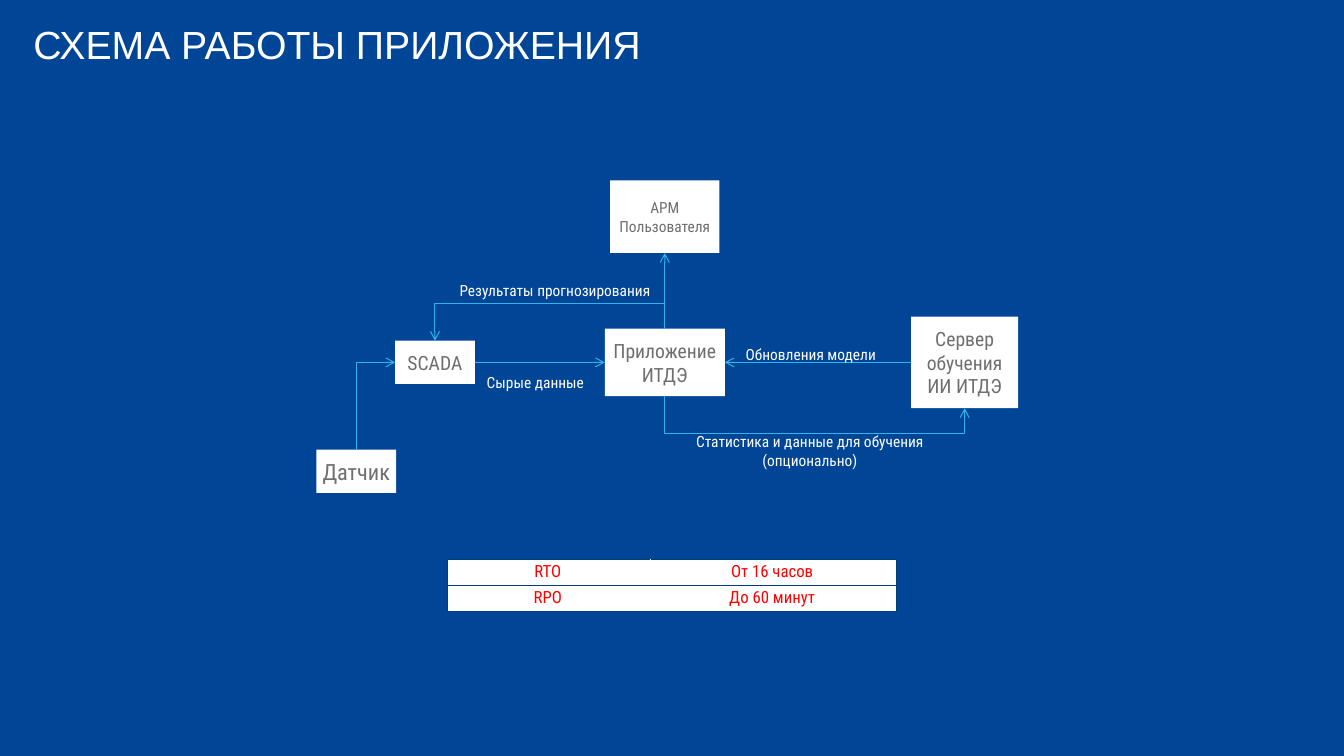
from typing import NamedTuple, Optional

from lxml.etree import SubElement
from pptx import Presentation
from pptx.dml.color import RGBColor
from pptx.enum.shapes import MSO_CONNECTOR, MSO_SHAPE
from pptx.enum.text import MSO_ANCHOR, MSO_AUTO_SIZE, PP_ALIGN
from pptx.oxml.ns import qn
from pptx.util import Inches, Pt

WIDTH, HEIGHT = Inches(13.33), Inches(7.5)
BLUE = RGBColor(0x00, 0x45, 0x96)
NAVY = RGBColor(0x00, 0x40, 0x77)
CYAN = RGBColor(0x2F, 0xB4, 0xE9)
WHITE = RGBColor(0xFF, 0xFF, 0xFF)
GREY = RGBColor(0x70, 0x6F, 0x6F)
RED = RGBColor(0xFF, 0x00, 0x00)
FONT = "Roboto Condensed"
TOP, LEFT, BOTTOM, RIGHT = range(4)


class Area(NamedTuple):
    """A place on the slide, in percent of its width and height."""
    x: float
    y: float
    w: float
    h: float

    def emu(self) -> tuple[int, int, int, int]:
        return (round(WIDTH * self.x / 100), round(HEIGHT * self.y / 100),
                round(WIDTH * self.w / 100), round(HEIGHT * self.h / 100))


class Node(NamedTuple):
    text: str
    area: Area
    size: int


class Link(NamedTuple):
    start: str
    out: int
    end: str
    into: int
    kind: str = "straight"
    bend: Optional[float] = None


class Label(NamedTuple):
    text: str
    area: Area
    align: PP_ALIGN = PP_ALIGN.LEFT


NODES = {
    "sensor": Node("Датчик", Area(23.55, 59.47, 5.93, 5.73), 16),
    "scada": Node("SCADA", Area(29.4, 45.07, 5.93, 5.73), 14),
    "app": Node("Приложение ИТДЭ", Area(45, 43.47, 8.93, 8.93), 14),
    "server": Node("Сервер обучения ИИ ИТДЭ", Area(67.8, 41.87, 7.95, 12.13), 14),
    "user": Node("АРМ Пользователя", Area(45.4, 23.87, 8.13, 9.6), 11),
}
LINKS = [
    Link("sensor", TOP, "scada", LEFT, "bentConnector2"),
    Link("scada", RIGHT, "app", LEFT),
    Link("server", LEFT, "app", RIGHT),
    Link("app", BOTTOM, "server", BOTTOM, "bentConnector3", 3.06),
    Link("app", TOP, "scada", TOP, "bentConnector3", -2.05),
    Link("app", TOP, "user", BOTTOM),
]
LABELS = [
    Label("Обновления модели", Area(54.75, 44.93, 11.78, 3.87)),
    Label("Статистика и данные для обучения\n(опционально)",
          Area(50.85, 56.53, 18.83, 6.27), PP_ALIGN.CENTER),
    Label("Результаты прогнозирования", Area(33.45, 36.53, 15.98, 3.87)),
    Label("Сырые данные", Area(35.48, 48.67, 8.93, 3.87)),
]
GOALS = [("RTO", "От 16 часов"), ("RPO", "До 60 минут")]
GOAL_AREA = Area(33.3, 74, 33.38, 6.93)
GOAL_COLS = (15.08, 18.3)


def write(frame, text: str, *, size: float, color: RGBColor, font: str = FONT,
          align: PP_ALIGN = PP_ALIGN.CENTER, before: float = 0,
          after: float = 0, leading: float = 1.0) -> None:
    frame.text = text
    for para in frame.paragraphs:
        para.alignment = align
        para.space_before, para.space_after = Pt(before), Pt(after)
        para.line_spacing = leading
        for run in para.runs:
            run.font.size, run.font.name = Pt(size), font
            run.font.color.rgb = color


def add_title(slide) -> None:
    title = slide.shapes.title
    title.left, title.top, title.width, title.height = Area(1.73, 3.2, 95.25, 7.6).emu()
    frame = title.text_frame
    frame.vertical_anchor = MSO_ANCHOR.TOP
    frame.auto_size = MSO_AUTO_SIZE.NONE
    write(frame, "СХЕМА РАБОТЫ ПРИЛОЖЕНИЯ", size=28, color=WHITE, font="Arial",
          align=PP_ALIGN.LEFT, leading=0.8)


def add_node(slide, node: Node):
    box = slide.shapes.add_shape(MSO_SHAPE.RECTANGLE, *node.area.emu())
    box.shadow.inherit = False
    box.fill.solid()
    box.fill.fore_color.rgb = WHITE
    box.line.fill.background()
    frame = box.text_frame
    frame.word_wrap = True
    frame.vertical_anchor = MSO_ANCHOR.MIDDLE
    frame.margin_left = frame.margin_right = Inches(0.04)
    frame.margin_top = frame.margin_bottom = Inches(0.04)
    write(frame, node.text, size=node.size, color=GREY, before=6)
    return box


def turn(line, link: Link) -> None:
    """Make an elbow line leave its start vertically, by a quarter turn."""
    run, rise = line.end_x - line.begin_x, line.end_y - line.begin_y
    mid_x, mid_y = (line.begin_x + line.end_x) // 2, (line.begin_y + line.end_y) // 2
    line.width, line.height = abs(rise), abs(run)
    line.left, line.top = mid_x - line.width // 2, mid_y - line.height // 2
    props = line._element.spPr
    frame = props.find(qn("a:xfrm"))
    frame.set("rot", str(90 * 60000))
    frame.set("flipH", str(int(rise < 0)))
    frame.set("flipV", str(int(run > 0)))
    shape = props.find(qn("a:prstGeom"))
    shape.set("prst", link.kind)
    if link.bend is not None:
        SubElement(shape.find(qn("a:avLst")), qn("a:gd"), name="adj1",
                   fmla=f"val {round(link.bend * 100000)}")


def add_link(slide, link: Link, boxes: dict) -> None:
    bent = link.kind != "straight"
    kind = MSO_CONNECTOR.ELBOW if bent else MSO_CONNECTOR.STRAIGHT
    line = slide.shapes.add_connector(kind, 0, 0, 0, 0)
    line.begin_connect(boxes[link.start], link.out)
    line.end_connect(boxes[link.end], link.into)
    if bent:
        turn(line, link)
    line.line.color.rgb = CYAN
    line.line.width = Pt(0.75)
    SubElement(line.line._get_or_add_ln(), qn("a:tailEnd"), type="arrow")
    SubElement(line._element.spPr, qn("a:effectLst"))


def add_label(slide, label: Label) -> None:
    frame = slide.shapes.add_textbox(*label.area.emu()).text_frame
    frame.word_wrap = False
    frame.auto_size = MSO_AUTO_SIZE.SHAPE_TO_FIT_TEXT
    write(frame, label.text, size=11, color=WHITE, align=label.align)


def add_edge(cell, side: str) -> None:
    edge = SubElement(cell._tc.get_or_add_tcPr(), qn(f"a:ln{side}"), w=str(Pt(1)))
    fill = SubElement(edge, qn("a:solidFill"))
    SubElement(fill, qn("a:srgbClr"), val=str(NAVY))


def add_goals(slide) -> None:
    table = slide.shapes.add_table(len(GOALS), len(GOAL_COLS), *GOAL_AREA.emu()).table
    table.first_row = table.horz_banding = False
    for col, share in zip(table.columns, GOAL_COLS):
        col.width = round(WIDTH * share / 100)
    for row, texts in enumerate(GOALS):
        for col, text in enumerate(texts):
            cell = table.cell(row, col)
            cell.margin_left = cell.margin_top = 0
            cell.margin_right = cell.margin_bottom = Inches(0.02)
            cell.vertical_anchor = MSO_ANCHOR.MIDDLE
            write(cell.text_frame, text, size=12, color=RED, before=3, after=3)
            for side in ("LTB", "RTB")[col]:
                add_edge(cell, side)
            cell.fill.solid()
            cell.fill.fore_color.rgb = WHITE


def main() -> None:
    deck = Presentation()
    deck.slide_width, deck.slide_height = WIDTH, HEIGHT
    slide = deck.slides.add_slide(deck.slide_layouts[5])
    slide.background.fill.solid()
    slide.background.fill.fore_color.rgb = BLUE
    add_title(slide)
    boxes = {name: add_node(slide, node) for name, node in NODES.items()}
    for link in LINKS:
        add_link(slide, link, boxes)
    for label in LABELS:
        add_label(slide, label)
    add_goals(slide)
    deck.save("out.pptx")


if __name__ == "__main__":
    main()
